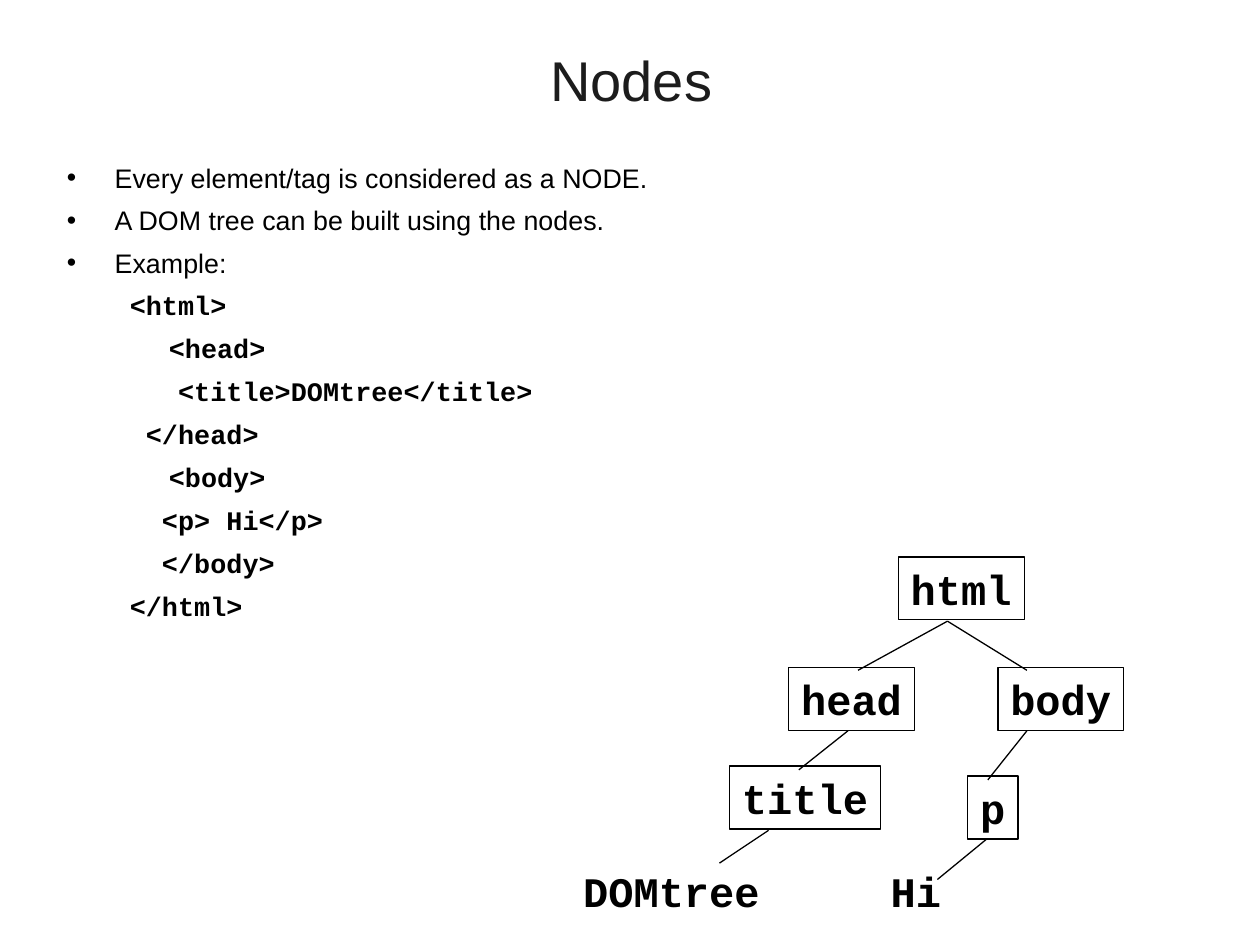
from typing import NamedTuple

from lxml.etree import SubElement
from pptx import Presentation
from pptx.dml.color import RGBColor
from pptx.enum.shapes import MSO_CONNECTOR, MSO_SHAPE
from pptx.enum.text import MSO_ANCHOR, MSO_AUTO_SIZE, PP_ALIGN
from pptx.oxml.ns import qn
from pptx.util import Inches, Pt

COLORS = {"title": "1C1C1C", "ink": "000000"}
SANS, MONO = "Arial", "Courier New"
CHAR_W, NODE_H, PAD = 0.2, 0.5, 0.1


class Node(NamedTuple):
    label: str
    x: float
    y: float
    boxed: bool = True


class Edge(NamedTuple):
    x1: float
    y1: float
    x2: float
    y2: float


class Style(NamedTuple):
    level: int
    margin: float
    indent: float
    before: float
    line: float
    font: str
    bold: bool
    bullet: bool
    tabs: list[float]


BULLET = Style(0, 0.38, -0.38, 6, 1, SANS, False, True,
               [i / 2 for i in range(1, 9)])
CODE = Style(1, 0.81, -0.31, 8, 0.9, MONO, True, False,
             [0] + [i / 2 for i in range(2, 9)])

BULLETS = [
    "Every element/tag is considered as a NODE.",
    "A DOM tree can be built using the nodes.",
    "Example:",
]
CODE_LINES = [
    "<html>",
    "\t<head>",
    "   <title>DOMtree</title>",
    " </head>",
    "\t<body>",
    "  <p> Hi</p>",
    "  </body>",
    "</html>",
]
NODES = [
    Node("html", 7.13, 4.42),
    Node("head", 6.26, 5.3),
    Node("body", 7.92, 5.3),
    Node("title", 5.79, 6.08),
    Node("DOMtree", 4.53, 6.82, boxed=False),
    Node("p", 7.68, 6.16),
    Node("Hi", 6.97, 6.82, boxed=False),
]
EDGES = [
    Edge(7.52, 4.93, 6.81, 5.32),
    Edge(7.52, 4.93, 8.15, 5.32),
    Edge(6.73, 5.8, 6.34, 6.11),
    Edge(6.1, 6.59, 5.71, 6.85),
    Edge(8.15, 5.8, 7.84, 6.19),
    Edge(7.83, 6.66, 7.44, 6.98),
]


def rgb(name: str) -> RGBColor:
    return RGBColor.from_string(COLORS[name])


def add_run(p, text: str, size: float, font: str, color: str = "ink",
            bold: bool = False) -> None:
    r = p.add_run()
    r.text = text
    r.font.size, r.font.name, r.font.bold = Pt(size), font, bold
    r.font.color.rgb = rgb(color)


def place(sp, x: float, y: float, w: float, h: float) -> None:
    sp.left, sp.top, sp.width, sp.height = map(Inches, (x, y, w, h))


def format_paragraph(p, style: Style, first: bool) -> None:
    p.level = style.level
    pPr = p._p.get_or_add_pPr()
    pPr.set("marL", str(Inches(style.margin)))
    pPr.set("indent", str(Inches(style.indent)))
    if style.bullet:
        SubElement(pPr, qn("a:buFont"), typeface=SANS)
        SubElement(pPr, qn("a:buChar"), char="•")
    else:
        SubElement(pPr, qn("a:buNone"))
    tabs = SubElement(pPr, qn("a:tabLst"))
    for pos in style.tabs:
        SubElement(tabs, qn("a:tab"), pos=str(Inches(pos)), algn="l")
    p.line_spacing = style.line
    p.space_before = Pt(0 if first else style.before)
    p.space_after = Pt(0)


def add_node(s, node: Node) -> None:
    w = len(node.label) * CHAR_W + 2 * PAD
    box = [Inches(v) for v in (node.x, node.y, w, NODE_H)]
    if node.boxed:
        sp = s.shapes.add_shape(MSO_SHAPE.RECTANGLE, *box)
        sp.shadow.inherit = False
        sp.fill.background()
        sp.line.color.rgb = rgb("ink")
        sp.line.width = Pt(0.75)
    else:
        sp = s.shapes.add_textbox(*box)
    tf = sp.text_frame
    tf.word_wrap = False
    tf.auto_size = MSO_AUTO_SIZE.SHAPE_TO_FIT_TEXT
    tf.vertical_anchor = MSO_ANCHOR.TOP
    p = tf.paragraphs[0]
    p.alignment = PP_ALIGN.LEFT
    add_run(p, node.label, 24, MONO, bold=True)


def add_edge(s, edge: Edge) -> None:
    ln = s.shapes.add_connector(MSO_CONNECTOR.STRAIGHT, *map(Inches, edge))
    ln.line.color.rgb = rgb("ink")
    ln.line.width = Pt(0.75)
    SubElement(ln._element.spPr, qn("a:effectLst"))


def main() -> None:
    prs = Presentation()
    prs.slide_width, prs.slide_height = Inches(10), Inches(7.5)
    s = prs.slides.add_slide(prs.slide_layouts[1])

    # Title
    title = s.shapes.title
    place(title, 0.51, 0, 9, 1.25)
    tf = title.text_frame
    tf.auto_size = MSO_AUTO_SIZE.NONE
    tf.vertical_anchor = MSO_ANCHOR.MIDDLE
    tf.paragraphs[0].alignment = PP_ALIGN.CENTER
    add_run(tf.paragraphs[0], "Nodes", 32, SANS, "title")

    # Bullets and markup example
    body = s.placeholders[1]
    place(body, 0.43, 1.23, 9.06, 3.78)
    tf = body.text_frame
    tf.auto_size = MSO_AUTO_SIZE.NONE
    lines = [(t, BULLET) for t in BULLETS] + [(t, CODE) for t in CODE_LINES]
    for i, (text, style) in enumerate(lines):
        p = tf.add_paragraph() if i else tf.paragraphs[0]
        format_paragraph(p, style, first=i == 0)
        add_run(p, text, 15.3, style.font, bold=style.bold)

    # DOM tree
    for node in NODES:
        add_node(s, node)
    for edge in EDGES:
        add_edge(s, edge)

    prs.save("out.pptx")


if __name__ == "__main__":
    main()
